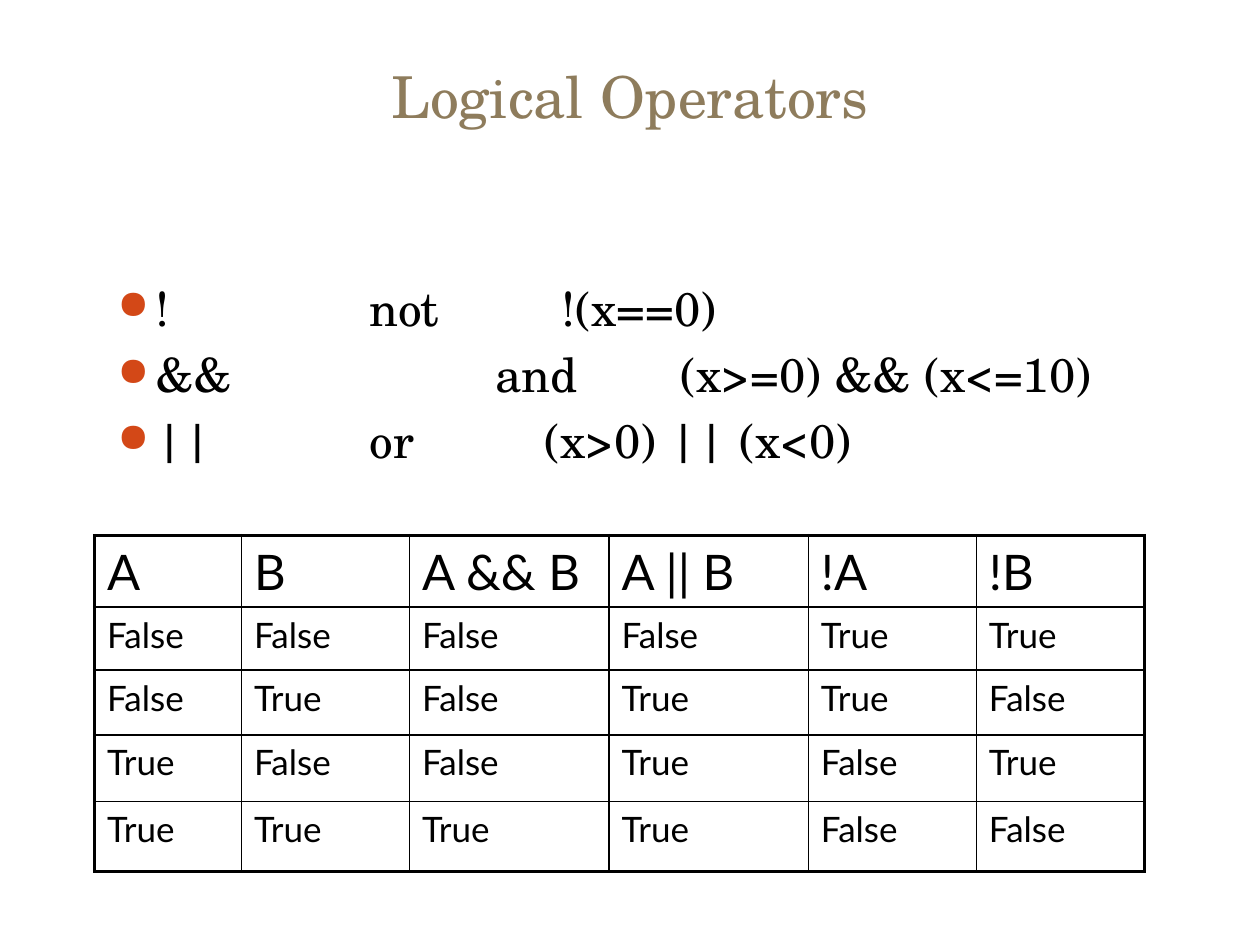
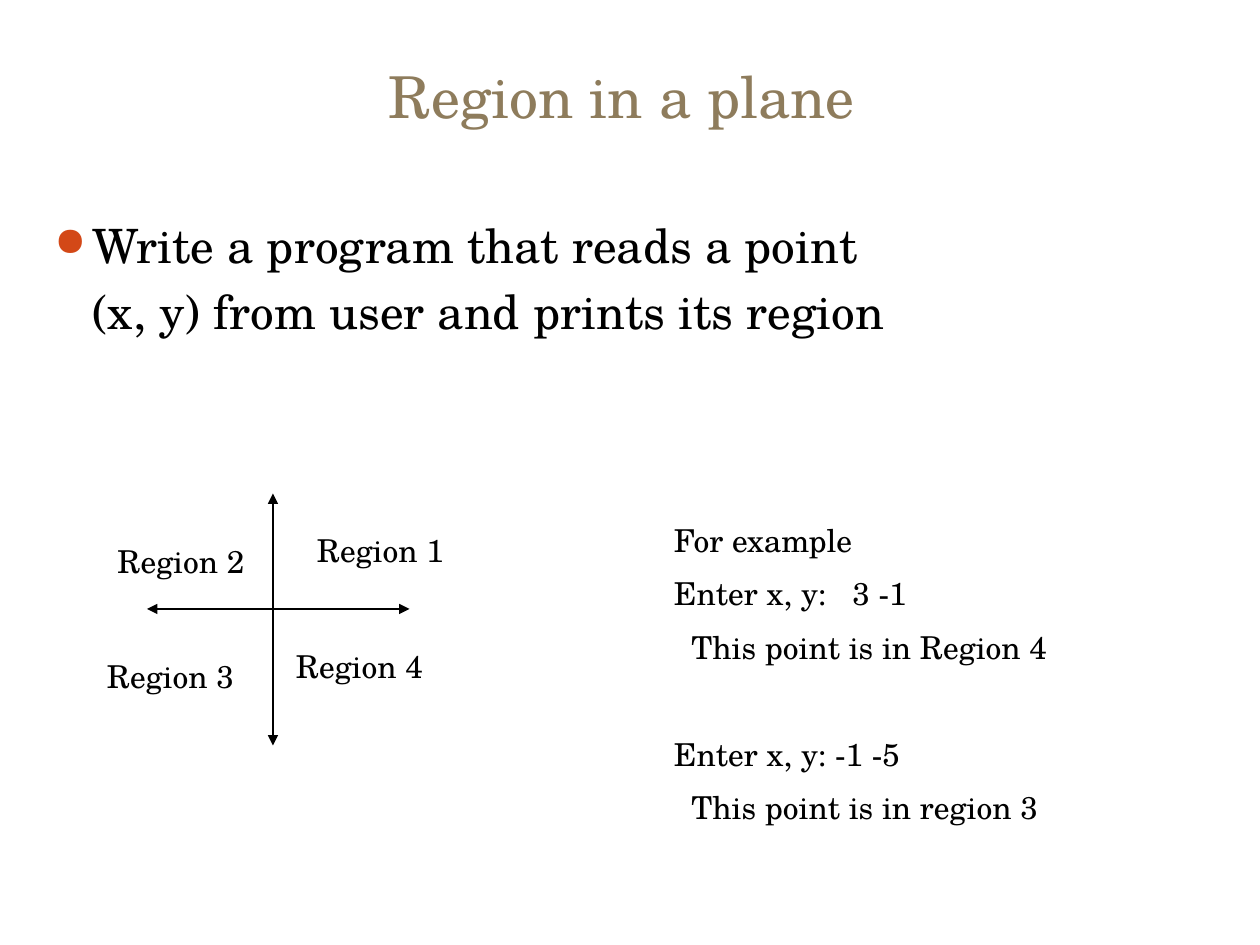
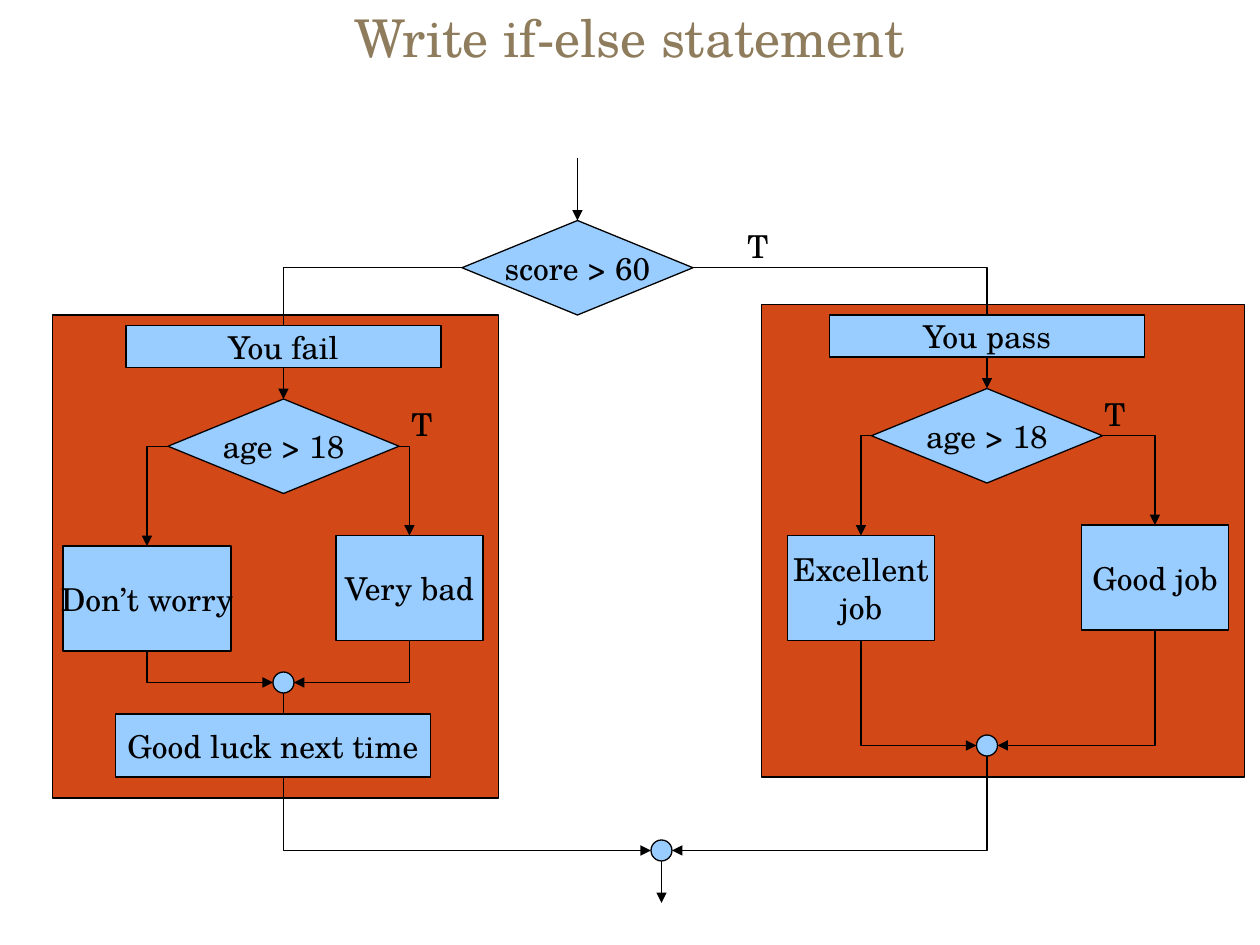
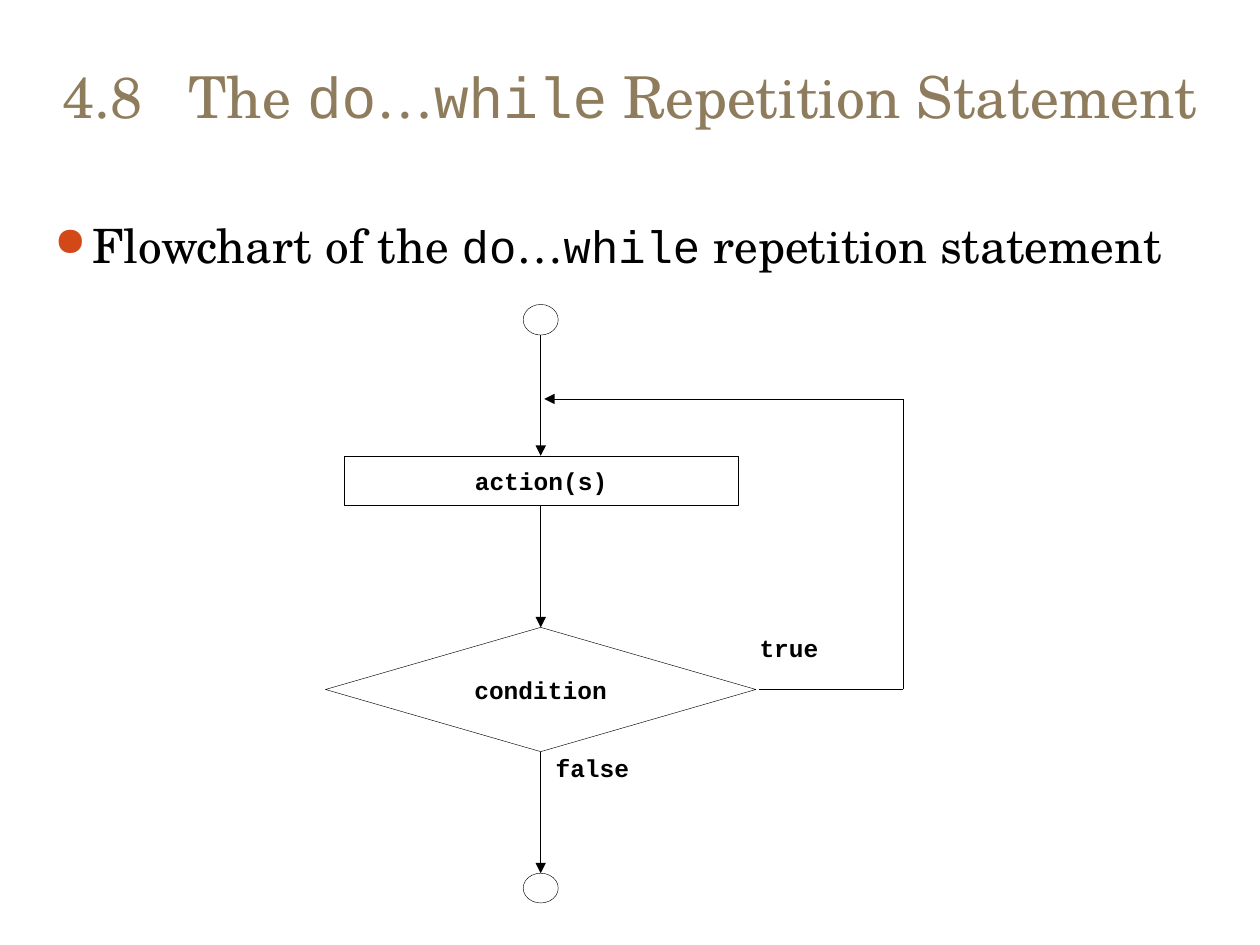
import dataclasses

import lxml.etree
import pptx
import pptx.dml.color
import pptx.enum.shapes
import pptx.enum.text
import pptx.oxml.ns
import pptx.util

Pt = pptx.util.Pt
qn = pptx.oxml.ns.qn
SHAPE = pptx.enum.shapes.MSO_SHAPE
CONNECTOR = pptx.enum.shapes.MSO_CONNECTOR
ALIGN = pptx.enum.text.PP_ALIGN
ANCHOR = pptx.enum.text.MSO_ANCHOR


@dataclasses.dataclass(frozen=True)
class Theme:
    serif: str = "TeX Gyre Schola"
    mono: str = "Courier New"
    sans: str = "Lato"
    ink: str = "000000"
    title_color: str = "8E7C5C"
    accent: str = "D34817"
    node: str = "99CCFF"
    paper: str = "FFFFFF"
    title: float = 33
    small_title: float = 29.7
    body: float = 27
    body_mono: float = 26
    label: float = 18
    code: float = 14
    table_head: float = 28
    table_cell: float = 20
    line: float = 0.75
    thin: float = 0.25
    grid: float = 1
    frame: float = 2.25
    hang: float = 21.6


THEME = Theme()
BODY = (24, 120, 670, 360)

# ---- Content: logical operators (text, tab stops) ----
OPERATORS = [
    ("!\tnot\t!(x==0)", (144, 254)),
    ("&&\tand\t(x>=0) && (x<=10)", (216, 322)),
    ("||\tor\t(x>0) || (x<0)", (144, 244)),
]
TRUTH_TABLE = [
    ["A", "B", "A && B", "A || B", "!A", "!B"],
    ["False", "False", "False", "False", "True", "True"],
    ["False", "True", "False", "True", "True", "False"],
    ["True", "False", "False", "True", "False", "True"],
    ["True", "True", "True", "True", "False", "False"],
]
COLUMN_WIDTHS = [84, 96, 114, 114, 96, 96]
ROW_HEIGHTS = [41, 36, 37, 38, 40]

# ---- Content: regions ----
TASK = [
    dict(text="Write a program that reads a point", bullet=True),
    dict(text="(x, y) from user and prints its region", indent=THEME.hang, before=5.4),
]
AXES = [((156, 282), (156, 426)), ((84, 348), (234, 348))]
REGIONS = [("Region 1", 174, 300), ("Region 4", 162, 366),
           ("Region 2", 60, 306), ("Region 3", 54, 372)]
EXAMPLE = [
    dict(text="For example"),
    dict(text="Enter x, y:\t3 -1", tabs=(102,), before=9),
    dict(text="This point is in Region 4", indent=10, before=9),
    dict(text="Enter x, y: -1 -5", before=39.6),
    dict(text="This point is in region 3", indent=10, before=9),
]

# ---- Content: if-else flowchart ----
PANELS = [(435, 174, 276, 270), (30, 180, 255, 276)]
DECISION, PROCESS, JOIN = (132, 54), (84, 60), (12, 12)
NODES = {  # name: (shape, left, top, size, lines)
    "score": (SHAPE.FLOWCHART_DECISION, 264, 126, DECISION, ["score > 60"]),
    "pass age": (SHAPE.FLOWCHART_DECISION, 498, 222, DECISION, ["age > 18"]),
    "fail age": (SHAPE.FLOWCHART_DECISION, 96, 228, DECISION, ["age > 18"]),
    "good": (SHAPE.FLOWCHART_PROCESS, 618, 300, PROCESS, ["Good job"]),
    "excellent": (SHAPE.FLOWCHART_PROCESS, 450, 306, PROCESS, ["Excellent", "job"]),
    "bad": (SHAPE.FLOWCHART_PROCESS, 192, 306, PROCESS, ["Very bad"]),
    "worry": (SHAPE.FLOWCHART_PROCESS, 36, 312, (96, 60), ["Don’t worry"]),
    "pass join": (SHAPE.OVAL, 558, 420, JOIN, []),
    "fail join": (SHAPE.OVAL, 156, 384, JOIN, []),
    "end join": (SHAPE.OVAL, 372, 480, JOIN, []),
}
BRANCHES = [  # decision, its side, target (entered from above)
    ("score", "right", "pass age"), ("score", "left", "fail age"),
    ("pass age", "right", "good"), ("pass age", "left", "excellent"),
    ("fail age", "right", "bad"), ("fail age", "left", "worry"),
]
MERGES = [  # source (left from below), join, side of the join
    ("excellent", "pass join", "left"), ("good", "pass join", "right"),
    ("worry", "fail join", "left"), ("bad", "fail join", "right"),
    ("fail join", "end join", "left"), ("pass join", "end join", "right"),
]
FLOW_ENDS = [((330, 90), (330, 126)), ((378, 492), (378, 516))]
BANNERS = [  # drawn over the flow lines
    (SHAPE.RECTANGLE, (474, 180, 180, 24), "You pass"),
    (SHAPE.RECTANGLE, (72, 186, 180, 24), "You fail"),
    (SHAPE.FLOWCHART_PROCESS, (66, 408, 180, 36), "Good luck next time"),
]
TRUE_MARKS = [(420, 126, 66, 29), (624, 222, 66, 29), (228, 228, 36, 29)]

# ---- Content: do...while flowchart; True marks code ----
LOOP_TITLE = [("4.8\tThe ", False), ("do", True), ("…", False),
              ("while", True), (" Repetition Statement", False)]
LOOP_BODY = [("Flowchart of the ", False), ("do", True), ("…", False),
             ("while", True), (" repetition statement", False)]
LOOP_SHAPES = [
    (SHAPE.OVAL, (299, 174, 20, 17.5), None, []),
    (SHAPE.RECTANGLE, (196.5, 260.5, 225.5, 28.5), None, ["action(s)"]),
    (SHAPE.FLOWCHART_DECISION, (186, 358.5, 246, 71), THEME.paper, ["condition"]),
    (SHAPE.OVAL, (299, 499, 20, 17), None, []),
]
LOOP_LINES = [  # start, end, arrow at end
    ((309, 191.5), (309, 260.5), True),
    ((309, 289), (309, 358.5), True),
    ((309, 429.5), (309, 499), True),
    ((434, 394), (516, 394), False),
    ((516, 394), (516, 228), False),
    ((516, 228), (311, 228), True),
]
LOOP_LABELS = [("true", (434, 361.5, 73, 35)), ("false", (317.5, 430.5, 88, 35))]


# ---- Helpers ----
def rgb(value):
    return pptx.dml.color.RGBColor.from_string(value)


def child(parent, tag, **attributes):
    return lxml.etree.SubElement(parent, qn(tag), attributes)


def write(frame, paras, size, font=THEME.serif, color=THEME.ink, align=ALIGN.LEFT,
          bold=False, mono_size=None):
    """Fill a text frame; each paragraph is a string or a dict."""
    for index, item in enumerate(paras):
        item = {"text": item} if isinstance(item, str) else item
        para = frame.paragraphs[0] if index == 0 else frame.add_paragraph()
        para.alignment = align
        para.font.name, para.font.size, para.font.bold = font, Pt(size), bold
        para.font.color.rgb = rgb(color)
        if "before" in item:
            para.space_before = Pt(item["before"])
        for text, is_code in item.get("runs") or [(item["text"], False)]:
            span = para.add_run()
            span.text = text
            if is_code:
                span.font.name = THEME.mono
                span.font.size = Pt(mono_size or size)
        style_paragraph(para, item)


def style_paragraph(para, item):
    """Indent, bullet and tab stops, placed before the default run properties."""
    props = para._p.get_or_add_pPr()
    parts = []
    if item.get("bullet"):
        props.set("marL", str(Pt(THEME.hang)))
        props.set("indent", str(-Pt(THEME.hang)))
        bullet_color = lxml.etree.Element(qn("a:buClr"))
        child(bullet_color, "a:srgbClr", val=THEME.accent)
        parts += [bullet_color,
                  lxml.etree.Element(qn("a:buSzPct"), val="85000"),
                  lxml.etree.Element(qn("a:buChar"), char="●")]
    elif "indent" in item:
        props.set("marL", str(Pt(item["indent"])))
    if "tabs" in item:
        stops = lxml.etree.Element(qn("a:tabLst"))
        for stop in item["tabs"]:
            child(stops, "a:tab", pos=str(Pt(stop)), algn="l")
        parts.append(stops)
    defaults = props.find(qn("a:defRPr"))
    for part in parts:
        defaults.addprevious(part)


def add_text(page, place, paras, size, inset=None, **style):
    box = page.shapes.add_textbox(*map(Pt, place))
    frame = box.text_frame
    frame.word_wrap = True
    if inset is not None:
        frame.margin_left = frame.margin_right = Pt(inset)
        frame.margin_top = frame.margin_bottom = Pt(inset)
    write(frame, paras, size, **style)
    return box


def add_title(page, runs, size=THEME.title, bottom=3.6):
    box = add_text(page, (24, 18, 672, 60), [{"runs": runs}], size,
                   color=THEME.title_color, align=ALIGN.CENTER)
    box.text_frame.vertical_anchor = ANCHOR.BOTTOM
    box.text_frame.margin_bottom = Pt(bottom)


def add_node(page, kind, place, fill, lines=(), width=THEME.line, size=THEME.label, **style):
    node = page.shapes.add_shape(kind, *map(Pt, place))
    node.shadow.inherit = False
    if fill:
        node.fill.solid()
        node.fill.fore_color.rgb = rgb(fill)
    else:
        node.fill.background()
    node.line.color.rgb = rgb(THEME.ink)
    node.line.width = Pt(width)
    if lines:
        node.text_frame.word_wrap = False
        node.text_frame.vertical_anchor = ANCHOR.MIDDLE
        write(node.text_frame, lines, size, align=ALIGN.CENTER, **style)
    return node


def add_line(page, start, end, arrows=("tailEnd",), width=THEME.line, kind=CONNECTOR.STRAIGHT):
    """Arrow heads: headEnd sits at the start, tailEnd at the end."""
    line = page.shapes.add_connector(kind, *map(Pt, start + end))
    line.line.color.rgb = rgb(THEME.ink)
    line.line.width = Pt(width)
    outline = line.line._get_or_add_ln()
    for arrow in arrows:
        child(outline, "a:" + arrow, type="triangle")
    child(line.element.spPr, "a:effectLst")
    return line


def site(node, side):
    """Point and connection index in the middle of a side."""
    across, down = {"top": (0.5, 0), "left": (0, 0.5),
                    "bottom": (0.5, 1), "right": (1, 0.5)}[side]
    index = ["top", "left", "bottom", "right"].index(side)
    if node.auto_shape_type == SHAPE.OVAL:
        index *= 2
    point = (node.left.pt + across * node.width.pt, node.top.pt + down * node.height.pt)
    return point, index


def add_elbow(page, level, upright, arrow):
    """One bend: leaves the level end sideways, reaches the upright end vertically."""
    (start, start_index), (end, end_index) = site(*level), site(*upright)
    elbow = add_line(page, start, end, (arrow,), kind=CONNECTOR.ELBOW)
    elbow.element.spPr.find(qn("a:prstGeom")).set("prst", "bentConnector2")
    links = elbow.element.find(".//" + qn("p:cNvCxnSpPr"))
    child(links, "a:stCxn", id=str(level[0].shape_id), idx=str(start_index))
    child(links, "a:endCxn", id=str(upright[0].shape_id), idx=str(end_index))


def add_border(cell, side, width):
    edge = child(cell._tc.get_or_add_tcPr(), "a:ln" + side, w=str(Pt(width)))
    child(child(edge, "a:solidFill"), "a:srgbClr", val=THEME.ink)


def add_truth_table(page):
    rows, columns = len(ROW_HEIGHTS), len(COLUMN_WIDTHS)
    table = page.shapes.add_table(rows, columns, Pt(54), Pt(306), Pt(sum(COLUMN_WIDTHS)),
                                  Pt(sum(ROW_HEIGHTS))).table
    table.first_row = table.horz_banding = False
    for column, width in zip(table.columns, COLUMN_WIDTHS):
        column.width = Pt(width)
    for r, (texts, height) in enumerate(zip(TRUTH_TABLE, ROW_HEIGHTS)):
        table.rows[r].height = Pt(height)
        for c, text in enumerate(texts):
            cell = table.cell(r, c)
            outer = {"L": c == 0, "R": c == columns - 1, "T": r == 0, "B": r == rows - 1}
            for side, is_outer in outer.items():
                add_border(cell, side, THEME.frame if is_outer else THEME.grid)
            cell.fill.background()
            write(cell.text_frame, [text], THEME.table_cell if r else THEME.table_head,
                  font=THEME.sans)


deck = pptx.Presentation()
deck.slide_width, deck.slide_height = Pt(720), Pt(540)


def add_page():
    return deck.slides.add_slide(deck.slide_layouts[6])


# ---- Logical operators ----
page = add_page()
add_title(page, [("Logical Operators", False)])
operators = [dict(text=text, tabs=tabs, bullet=True, before=5.4 if i else 0)
             for i, (text, tabs) in enumerate(OPERATORS)]
add_text(page, (60, 156, 612, 330), operators, THEME.body)
add_truth_table(page)

# ---- Region in a plane ----
page = add_page()
add_title(page, [("Region in a plane ", False)])
add_text(page, BODY, TASK, THEME.body)
for start, end in AXES:
    add_line(page, start, end, ("headEnd", "tailEnd"))
for text, left, top in REGIONS:
    add_text(page, (left, top, 132, 29), [text], THEME.label)
add_text(page, (378, 294, 294, 191.5), EXAMPLE, THEME.label)

# ---- If-else flowchart ----
page = add_page()
for place in PANELS:
    add_node(page, SHAPE.RECTANGLE, place, THEME.accent)
add_title(page, [("Write if-else statement", False)], THEME.small_title, bottom=39)
nodes = {name: add_node(page, kind, (left, top) + size, THEME.node, lines)
         for name, (kind, left, top, size, lines) in NODES.items()}
for decision, side, target in BRANCHES:
    add_elbow(page, (nodes[decision], side), (nodes[target], "top"), "tailEnd")
for source, join, side in MERGES:
    add_elbow(page, (nodes[join], side), (nodes[source], "bottom"), "headEnd")
for start, end in FLOW_ENDS:
    add_line(page, start, end)
for kind, place, text in BANNERS:
    add_node(page, kind, place, THEME.node, [text])
for place in TRUE_MARKS:
    add_text(page, place, ["T"], THEME.label)

# ---- Do...while flowchart ----
page = add_page()
add_title(page, LOOP_TITLE)
add_text(page, BODY, [dict(runs=LOOP_BODY, bullet=True)], THEME.body,
         mono_size=THEME.body_mono)
for kind, place, fill, lines in LOOP_SHAPES:
    add_node(page, kind, place, fill, lines, THEME.thin, THEME.code,
             font=THEME.mono, bold=True)
for start, end, has_arrow in LOOP_LINES:
    add_line(page, start, end, ("tailEnd",) if has_arrow else (), THEME.thin)
for text, place in LOOP_LABELS:
    add_text(page, place, [text], THEME.code, inset=0, font=THEME.mono, bold=True)

deck.save("out.pptx")
